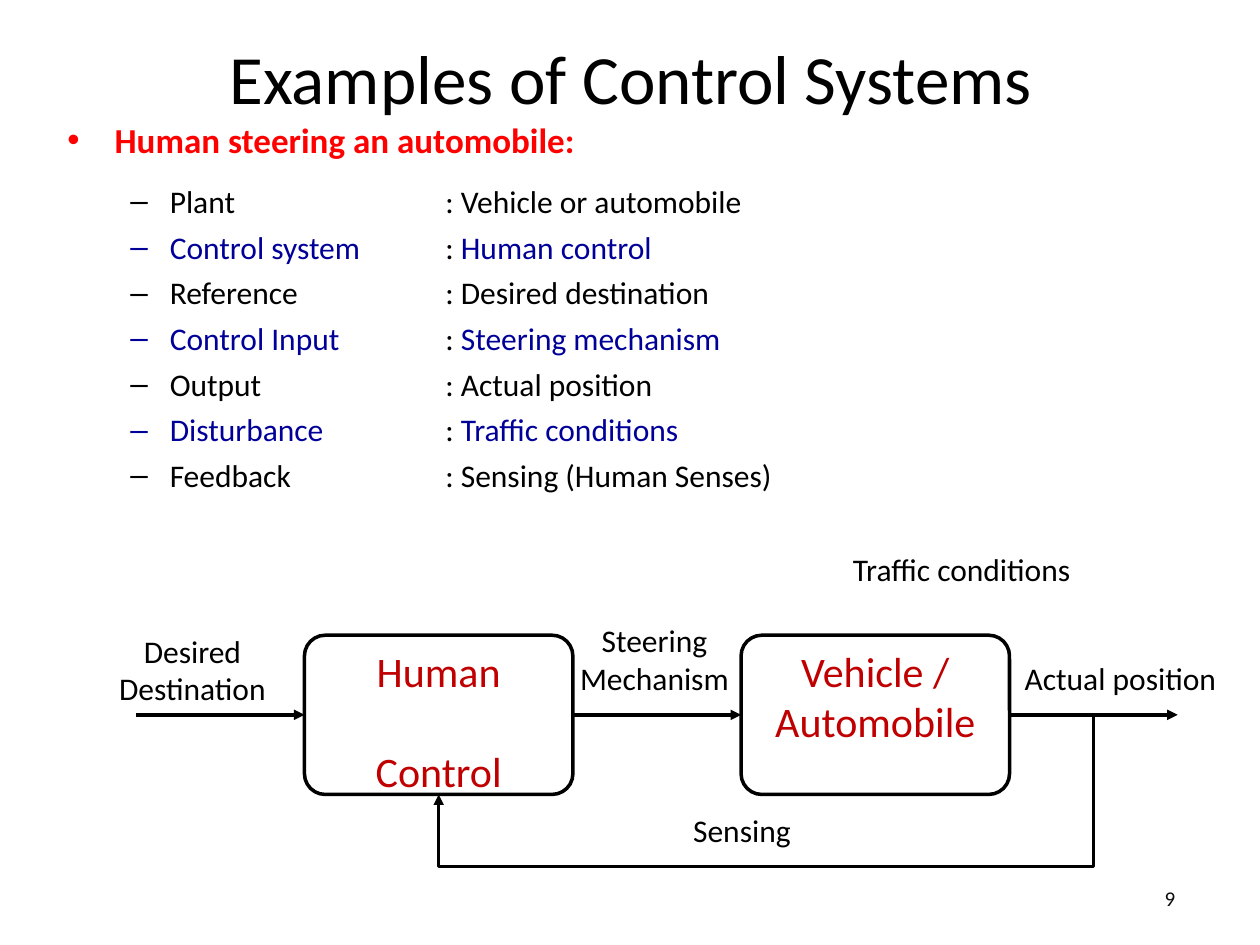
from pptx import Presentation
from pptx.dml.color import RGBColor
from pptx.enum.shapes import MSO_CONNECTOR as Line, MSO_SHAPE as Shape
from pptx.enum.text import MSO_ANCHOR as Anchor, MSO_AUTO_SIZE as AutoSize, PP_ALIGN as Align
from pptx.oxml.ns import qn
from pptx.util import Pt
from lxml.etree import SubElement

COLORS = {"black": "000000", "red": "FF0000", "blue": "000099",
          "crimson": "C00000", "number": "0D0D0D"}
FONT, BULLET_FONT = "Calibri", "Arial"

ROLES = [
    ("Plant", "Vehicle or automobile"),
    ("Control system", "Human control"),
    ("Reference", "Desired destination"),
    ("Control Input", "Steering mechanism"),
    ("Output", "Actual position"),
    ("Disturbance", "Traffic conditions"),
    ("Feedback", "Sensing (Human Senses)"),
]

# lines, left, top, width, height
LABELS = [
    (["Desired", "Destination"], 66, 360, 88, 45),
    (["Steering", "Mechanism"], 330, 354, 88, 45),
    (["Actual position"], 584, 375.5, 112.5, 23),
    (["Sensing"], 395, 462.5, 58, 23),
    (["Traffic conditions"], 484.5, 313.5, 130, 23),
]

BLOCK_TOP, BLOCK_WIDTH, BLOCK_HEIGHT = 363, 153.4, 91
BLOCK_BOTTOM = BLOCK_TOP + BLOCK_HEIGHT
SIGNAL_Y = BLOCK_TOP + BLOCK_HEIGHT / 2
HUMAN_LEFT, VEHICLE_LEFT = 174, 423.5
HUMAN_RIGHT, VEHICLE_RIGHT = HUMAN_LEFT + BLOCK_WIDTH, VEHICLE_LEFT + BLOCK_WIDTH
ARROW_LENGTH = VEHICLE_LEFT - HUMAN_RIGHT
FEEDBACK_LEFT, FEEDBACK_RIGHT, FEEDBACK_Y = HUMAN_LEFT + BLOCK_WIDTH / 2, 625, 495


def color(name):
    return RGBColor.from_string(COLORS[name])


def format_frame(frame, top=0, wrap=True, anchor=Anchor.TOP):
    settings = {"margin_left": 0, "margin_right": 0, "margin_top": Pt(top),
                "margin_bottom": 0, "word_wrap": wrap,
                "auto_size": AutoSize.NONE, "vertical_anchor": anchor}
    for name, value in settings.items():
        setattr(frame, name, value)


def add_run(paragraph, words, size, ink="black", bold=False):
    run = paragraph.add_run()
    run.text = words
    for name, value in {"name": FONT, "size": Pt(size), "bold": bold}.items():
        setattr(run.font, name, value)
    run.font.color.rgb = color(ink)


def add_text_frame(slide, left, top, width, height, inset=0, wrap=True):
    box = slide.shapes.add_textbox(Pt(left), Pt(top), Pt(width), Pt(height))
    format_frame(box.text_frame, inset, wrap)
    return box.text_frame


def next_paragraph(frame, index, gap=0):
    """Give the first paragraph as it is, and each later one with a gap above."""
    if index == 0:
        return frame.paragraphs[0]
    paragraph = frame.add_paragraph()
    paragraph.space_before = Pt(gap)
    return paragraph


def add_bullet(paragraph, mark, margin, hanging):
    props = paragraph._p.get_or_add_pPr()
    props.set("marL", str(Pt(margin)))
    props.set("indent", str(-Pt(hanging)))
    SubElement(props, qn("a:buFont"), typeface=BULLET_FONT)
    SubElement(props, qn("a:buChar"), char=mark)


def add_title(slide, words):
    title = slide.shapes.title
    title.left, title.top, title.width, title.height = Pt(127.5), Pt(18.7), Pt(466), Pt(49)
    format_frame(title.text_frame, top=1.3, anchor=Anchor.MIDDLE)
    paragraph = title.text_frame.paragraphs[0]
    paragraph.alignment = Align.CENTER
    add_run(paragraph, words, 39.5)


def add_heading(slide, words):
    paragraph = add_text_frame(slide, 37.5, 66.5, 425, 25, 1.3).paragraphs[0]
    add_bullet(paragraph, "•", 28, 27)
    add_run(paragraph, words, 20, "red", True)


def add_roles(slide):
    terms = add_text_frame(slide, 73.5, 98.2, 135, 186, 5.8)
    meanings = add_text_frame(slide, 254.5, 98.2, 190, 186, 5.8)
    for index, (term, meaning) in enumerate(ROLES):
        ink = "blue" if index % 2 else "black"
        left = next_paragraph(terms, index, 4.5)
        add_bullet(left, "–", 23.5, 22.5)
        add_run(left, term, 18, ink)
        right = next_paragraph(meanings, index, 4.5)
        add_run(right, ": ", 18)
        add_run(right, meaning, 18, ink)


def add_block(slide, left, lines, gap=0):
    block = slide.shapes.add_shape(Shape.ROUNDED_RECTANGLE, Pt(left), Pt(BLOCK_TOP),
                                   Pt(BLOCK_WIDTH), Pt(BLOCK_HEIGHT))
    block.adjustments[0] = 0.13
    block.shadow.inherit = False
    block.fill.background()
    format_line(block.line)
    format_frame(block.text_frame, top=2.8)
    for index, words in enumerate(lines):
        paragraph = next_paragraph(block.text_frame, index, gap)
        paragraph.alignment = Align.CENTER
        paragraph.line_spacing = Pt(28.5)
        add_run(paragraph, words, 24, "crimson")


def format_line(line, weight=2, arrow=False):
    line.color.rgb = color("black")
    line.width = Pt(weight)
    if arrow:
        SubElement(line._get_or_add_ln(), qn("a:tailEnd"),
                   type="triangle", w="med", len="med")


def add_signal(slide, left):
    points = [Pt(value) for value in (left, SIGNAL_Y, left + ARROW_LENGTH, SIGNAL_Y)]
    signal = slide.shapes.add_connector(Line.STRAIGHT, *points)
    format_line(signal.line, arrow=True)
    SubElement(signal._element.spPr, qn("a:effectLst"))


def add_feedback(slide):
    """Lead the output under both blocks and back up into the first."""
    outline = slide.shapes.build_freeform(Pt(FEEDBACK_RIGHT), Pt(SIGNAL_Y))
    corners = [(FEEDBACK_RIGHT, FEEDBACK_Y), (FEEDBACK_LEFT, FEEDBACK_Y),
               (FEEDBACK_LEFT, BLOCK_BOTTOM)]
    outline.add_line_segments([(Pt(x), Pt(y)) for x, y in corners], close=False)
    feedback = outline.convert_to_shape()
    feedback.shadow.inherit = False
    feedback.fill.background()
    format_line(feedback.line, weight=1.75, arrow=True)


def add_label(slide, lines, left, top, width, height):
    frame = add_text_frame(slide, left, top, width, height, 0.9, wrap=False)
    for index, words in enumerate(lines):
        paragraph = next_paragraph(frame, index)
        paragraph.alignment = Align.CENTER
        add_run(paragraph, words, 18)


def add_diagram(slide):
    add_block(slide, HUMAN_LEFT, ["Human", "Control"], gap=28.5)
    add_block(slide, VEHICLE_LEFT, ["Vehicle /", "Automobile"])
    for left in (HUMAN_LEFT - ARROW_LENGTH, HUMAN_RIGHT, VEHICLE_RIGHT):
        add_signal(slide, left)
    add_feedback(slide)
    for label in LABELS:
        add_label(slide, *label)


def add_page_number(slide, number):
    paragraph = add_text_frame(slide, 660.6, 508, 16, 12.5).paragraphs[0]
    paragraph.alignment = Align.CENTER
    paragraph.line_spacing = Pt(12.4)
    add_run(paragraph, number, 12, "number")


def main():
    deck = Presentation()
    deck.slide_width, deck.slide_height = Pt(720), Pt(540)
    slide = deck.slides.add_slide(deck.slide_layouts[5])
    add_title(slide, "Examples of Control Systems")
    add_heading(slide, "Human steering an automobile:")
    add_roles(slide)
    add_diagram(slide)
    add_page_number(slide, "9")
    deck.save("out.pptx")


if __name__ == "__main__":
    main()
